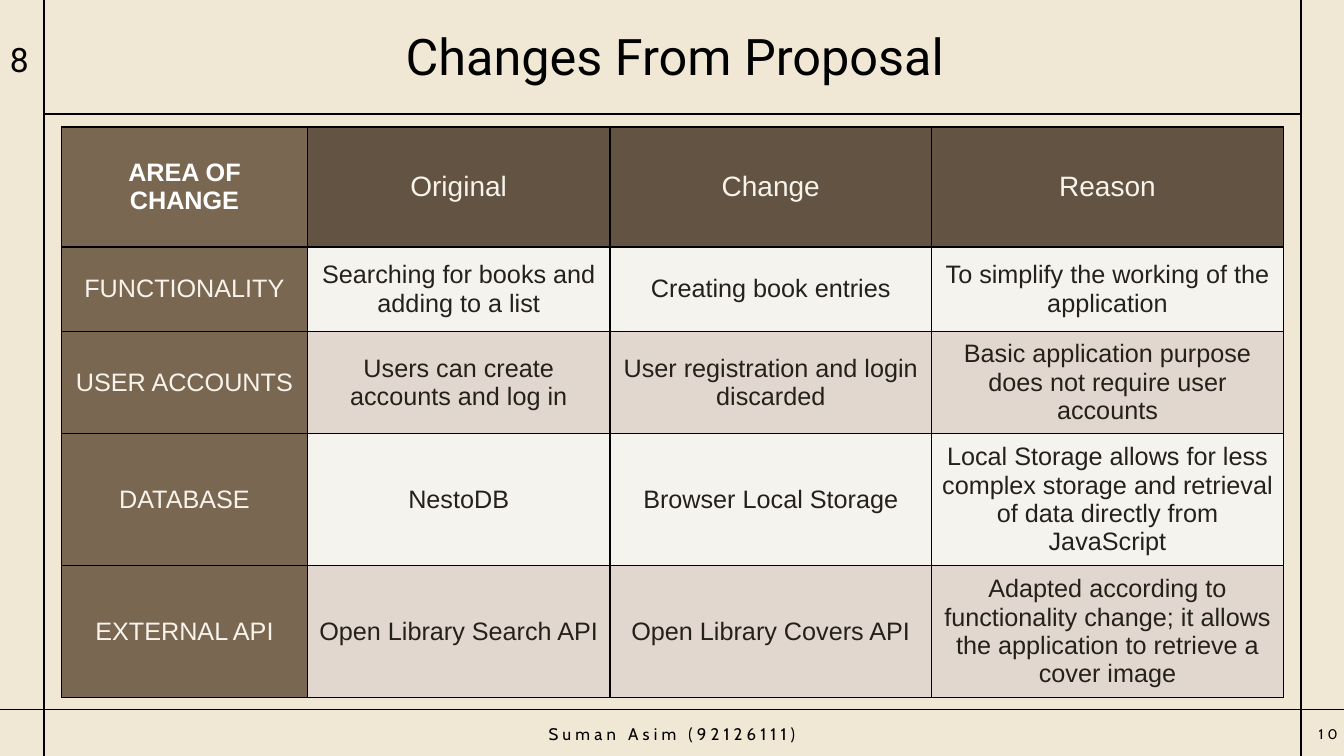
"""Build the slide that lists changes from the proposal."""
from dataclasses import dataclass

from lxml import etree
from pptx import Presentation
from pptx import util as u
from pptx.dml.color import RGBColor
from pptx.enum import shapes, text
from pptx.oxml import ns

BLACK = RGBColor(0x00, 0x00, 0x00)
WHITE = RGBColor(0xFF, 0xFF, 0xFF)
SAND = RGBColor(0xF0, 0xE7, 0xD4)
CREAM = RGBColor(0xF8, 0xF4, 0xEC)
INK = RGBColor(0x24, 0x20, 0x1A)
BROWN = RGBColor(0x7A, 0x67, 0x52)
DARK_BROWN = RGBColor(0x62, 0x53, 0x42)
BANDS = (RGBColor(0xF5, 0xF3, 0xED), RGBColor(0xE2, 0xD7, 0xCF))

COL_WIDTHS = (2.44, 3, 3.19, 3.49)
ROW_HEIGHTS = (1.19, 0.84, 1.01, 1.31, 1.31)
ROWS = (
    ("AREA OF CHANGE", "Original", "Change", "Reason"),
    ("FUNCTIONALITY", "Searching for books and adding to a list",
     "Creating book entries", "To simplify the working of the application"),
    ("USER ACCOUNTS", "Users can create accounts and log in",
     "User registration and login discarded",
     "Basic application purpose does not require user accounts"),
    ("DATABASE", "NestoDB", "Browser Local Storage",
     "Local Storage allows for less complex storage and retrieval of data "
     "directly from JavaScript"),
    ("EXTERNAL API", "Open Library Search API", "Open Library Covers API",
     "Adapted according to functionality change; it allows the application "
     "to retrieve a cover image"),
)


@dataclass(frozen=True)
class Rule:
    x1: float
    y1: float
    x2: float
    y2: float


@dataclass(frozen=True)
class Label:
    text: str
    left: float
    top: float
    width: float
    height: float
    size: float
    font: str
    centred: bool = False
    spacing: int = 0
    line_spacing: float = 1.0


@dataclass(frozen=True)
class CellStyle:
    fill: RGBColor
    color: RGBColor
    size: float = 18
    bold: bool = False


RULES = (
    Rule(0.44, 1.13, 12.9, 1.13),
    Rule(0, 7.04, 13.33, 7.04),
    Rule(0.44, 7.5, 0.44, 0),
    Rule(12.9, 7.5, 12.9, 0),
)
LABELS = (
    Label("Changes From Proposal", 2.23, 0.06, 8.93, 1.06, 36, "Roboto",
          centred=True, line_spacing=0.9),
    Label("10", 12.98, 7.13, 1.04, 0.3, 10, "Cabin", spacing=3),
    Label("Suman Asim (92126111)", 5.26, 7.13, 2.81, 0.3, 12, "Cabin",
          centred=True, spacing=3),
    Label("8", 0, 0.44, 1.04, 0.3, 24, "Roboto", spacing=3),
)


def write(tf, content: str, *, size: float, font: str, color: RGBColor,
          bold: bool = False, centred: bool = True, spacing: int = 0,
          line_spacing: float = 1.0) -> None:
    """Write one formatted paragraph into a text frame."""
    tf.word_wrap = True
    p = tf.paragraphs[0]
    p.alignment = text.PP_ALIGN.CENTER if centred else text.PP_ALIGN.LEFT
    p.line_spacing = line_spacing
    r = p.add_run()
    r.text = content
    r.font.size = u.Pt(size)
    r.font.name = font
    r.font.bold = bold
    r.font.color.rgb = color
    if spacing:
        r.font._element.set("spc", str(spacing * 100))


def add_rule(s, rule: Rule) -> None:
    """Draw one black frame line."""
    c = s.shapes.add_connector(
        shapes.MSO_CONNECTOR.STRAIGHT, u.Inches(rule.x1), u.Inches(rule.y1),
        u.Inches(rule.x2), u.Inches(rule.y2))
    c.line.color.rgb = BLACK
    c.line.width = u.Pt(1.25)
    etree.SubElement(c._element.spPr, ns.qn("a:effectLst"))


def add_label(s, label: Label) -> None:
    """Add one text box."""
    sp = s.shapes.add_textbox(u.Inches(label.left), u.Inches(label.top),
                              u.Inches(label.width), u.Inches(label.height))
    tf = sp.text_frame
    tf.vertical_anchor = text.MSO_ANCHOR.MIDDLE
    write(tf, label.text, size=label.size, font=label.font, color=BLACK,
          centred=label.centred, spacing=label.spacing,
          line_spacing=label.line_spacing)


def add_borders(cell) -> None:
    """Give a cell thin black borders on all sides."""
    tc_pr = cell._tc.get_or_add_tcPr()
    for i, side in enumerate(("lnL", "lnR", "lnT", "lnB")):
        ln = etree.Element(ns.qn(f"a:{side}"), w=str(u.Pt(1)))
        fill = etree.SubElement(ln, ns.qn("a:solidFill"))
        etree.SubElement(fill, ns.qn("a:srgbClr"), val=str(BLACK))
        tc_pr.insert(i, ln)


def cell_style(row: int, col: int) -> CellStyle:
    """Return the style for a table position."""
    if row == 0 and col == 0:
        return CellStyle(BROWN, WHITE, bold=True)
    if row == 0:
        return CellStyle(DARK_BROWN, CREAM, size=20)
    if col == 0:
        return CellStyle(BROWN, CREAM)
    return CellStyle(BANDS[(row - 1) % 2], INK)


def add_changes_table(s) -> None:
    """Add the table of changes."""
    table = s.shapes.add_table(
        len(ROWS), len(COL_WIDTHS), u.Inches(0.61), u.Inches(1.26),
        u.Inches(sum(COL_WIDTHS)), u.Inches(sum(ROW_HEIGHTS))).table
    for column, width in zip(table.columns, COL_WIDTHS):
        column.width = u.Inches(width)
    for row, height in zip(table.rows, ROW_HEIGHTS):
        row.height = u.Inches(height)
    for i, row_texts in enumerate(ROWS):
        for j, content in enumerate(row_texts):
            cell, style = table.cell(i, j), cell_style(i, j)
            cell.fill.solid()
            cell.fill.fore_color.rgb = style.fill
            cell.vertical_anchor = text.MSO_ANCHOR.MIDDLE
            add_borders(cell)
            write(cell.text_frame, content, size=style.size, font="Arial",
                  color=style.color, bold=style.bold)


def main() -> None:
    """Build and save the presentation."""
    prs = Presentation()
    prs.slide_width, prs.slide_height = u.Inches(13.33), u.Inches(7.5)
    s = prs.slides.add_slide(prs.slide_layouts[6])
    s.background.fill.solid()
    s.background.fill.fore_color.rgb = SAND
    for rule in RULES:
        add_rule(s, rule)
    for label in LABELS:
        add_label(s, label)
    add_changes_table(s)
    prs.save("out.pptx")


if __name__ == "__main__":
    main()
